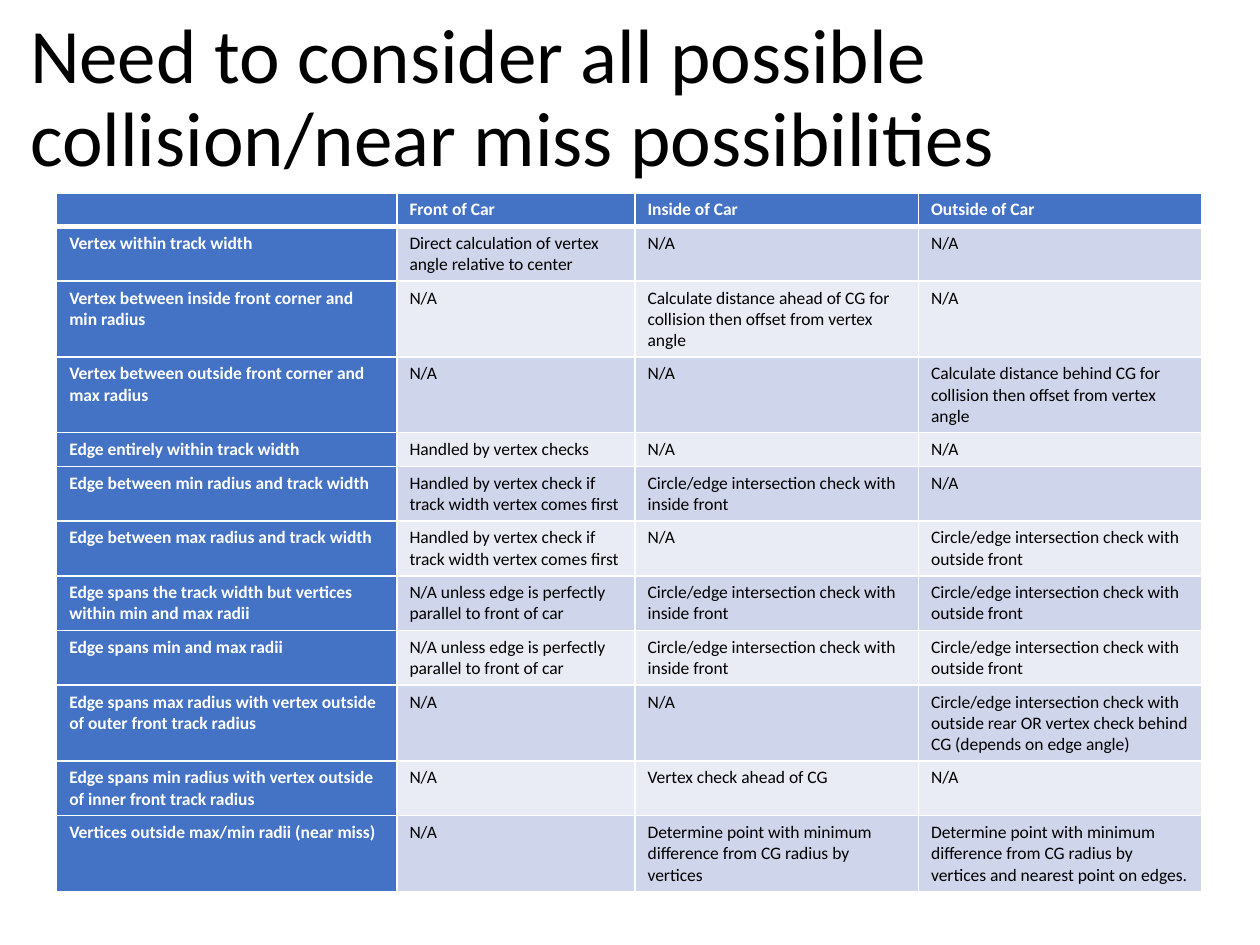
"""Build a slide tabulating the collision and near-miss cases for a car."""
from lxml import etree
from pptx import Presentation
from pptx.dml.color import RGBColor
from pptx.enum.text import MSO_ANCHOR
from pptx.oxml.ns import qn
from pptx.util import Inches, Pt

MIDDLE = MSO_ANCHOR.MIDDLE
FONT = "Calibri"
COLORS = {
    "heading": "4472C4",
    "odd": "CFD5EA",
    "even": "E9EBF5",
    "light": "FFFFFF",
    "dark": "000000",
}

TITLE = "Need to consider all possible collision/near miss possibilities"
NA = "N/A"
BY_VERTEX = "Handled by vertex check if track width vertex comes first"
PARALLEL = "N/A unless edge is perfectly parallel to front of car"
INSIDE = "Circle/edge intersection check with inside front"
OUTSIDE = "Circle/edge intersection check with outside front"
CASES = [
    ("", "Front of Car", "Inside of Car", "Outside of Car"),
    ("Vertex within track width",
     "Direct calculation of vertex angle relative to center", NA, NA),
    ("Vertex between inside front corner and min radius", NA,
     "Calculate distance ahead of CG for collision then offset from vertex angle", NA),
    ("Vertex between outside front corner and max radius", NA, NA,
     "Calculate distance behind CG for collision then offset from vertex angle"),
    ("Edge entirely within track width", "Handled by vertex checks", NA, NA),
    ("Edge between min radius and track width", BY_VERTEX, INSIDE, NA),
    ("Edge between max radius and track width", BY_VERTEX, NA, OUTSIDE),
    ("Edge spans the track width but vertices within min and max radii",
     PARALLEL, INSIDE, OUTSIDE),
    ("Edge spans min and max radii", PARALLEL, INSIDE, OUTSIDE),
    ("Edge spans max radius with vertex outside of outer front track radius", NA, NA,
     "Circle/edge intersection check with outside rear OR vertex check behind CG "
     "(depends on edge angle)"),
    ("Edge spans min radius with vertex outside of inner front track radius", NA,
     "Vertex check ahead of CG", NA),
    ("Vertices outside max/min radii (near miss)", NA,
     "Determine point with minimum difference from CG radius by vertices",
     "Determine point with minimum difference from CG radius by vertices "
     "and nearest point on edges."),
]
COLUMN_WIDTHS = [2.7, 1.89, 2.25, 2.25]
ROW_HEIGHTS = [0.22, 0.36, 0.49, 0.49, 0.25, 0.32, 0.32, 0.4, 0.25, 0.4, 0.4, 0.4]
TITLE_BOX = [Inches(n) for n in (0.14, 0.07, 9.69, 1.45)]
TABLE_BOX = [Inches(n) for n in (0.45, 1.53, 9.1, 5.53)]


def write(paragraph, text, size, color, bold=False):
    run = paragraph.add_run()
    run.text = text
    run.font.name = FONT
    run.font.size = Pt(size)
    run.font.bold = bold
    run.font.color.rgb = RGBColor.from_string(COLORS[color])


def add_border(cell, side, points):
    border = etree.SubElement(cell._tc.get_or_add_tcPr(), qn(f"a:ln{side}"), w=str(Pt(points)))
    fill = etree.SubElement(border, qn("a:solidFill"))
    etree.SubElement(fill, qn("a:srgbClr"), val=COLORS["light"])


def fill_cell(cell, text, row, column):
    is_header = row == 0
    is_heading = is_header or column == 0
    paragraph = cell.text_frame.paragraphs[0]
    if text:
        write(paragraph, text, 10, "light" if is_heading else "dark", is_heading)
    else:
        etree.SubElement(paragraph._p, qn("a:endParaRPr"), sz="1000")
    for side in "LRTB" if is_header else "LRB":
        add_border(cell, side, 3 if is_header and side == "B" else 1)
    band = "heading" if is_heading else "odd" if row % 2 else "even"
    cell.fill.solid()
    cell.fill.fore_color.rgb = RGBColor.from_string(COLORS[band])


def add_title(slide):
    frame = slide.shapes.add_textbox(*TITLE_BOX).text_frame
    frame.word_wrap = True
    frame.vertical_anchor = MIDDLE
    frame.paragraphs[0].line_spacing = 0.9
    write(frame.paragraphs[0], TITLE, 44, "dark")


def add_cases(slide):
    holder = slide.shapes.add_table(len(CASES), len(COLUMN_WIDTHS), *TABLE_BOX)
    cases = holder.table
    cases.first_col = True
    for column, width in zip(cases.columns, COLUMN_WIDTHS):
        column.width = Inches(width)
    for row, height in zip(cases.rows, ROW_HEIGHTS):
        row.height = Inches(height)
    holder.width, holder.height = TABLE_BOX[2:]
    for row, texts in enumerate(CASES):
        for column, text in enumerate(texts):
            fill_cell(cases.cell(row, column), text, row, column)


def main():
    deck = Presentation()
    deck.slide_width, deck.slide_height = Inches(10), Inches(7.5)
    slide = deck.slides.add_slide(deck.slide_layouts[6])
    add_title(slide)
    add_cases(slide)
    deck.save("out.pptx")


if __name__ == "__main__":
    main()
